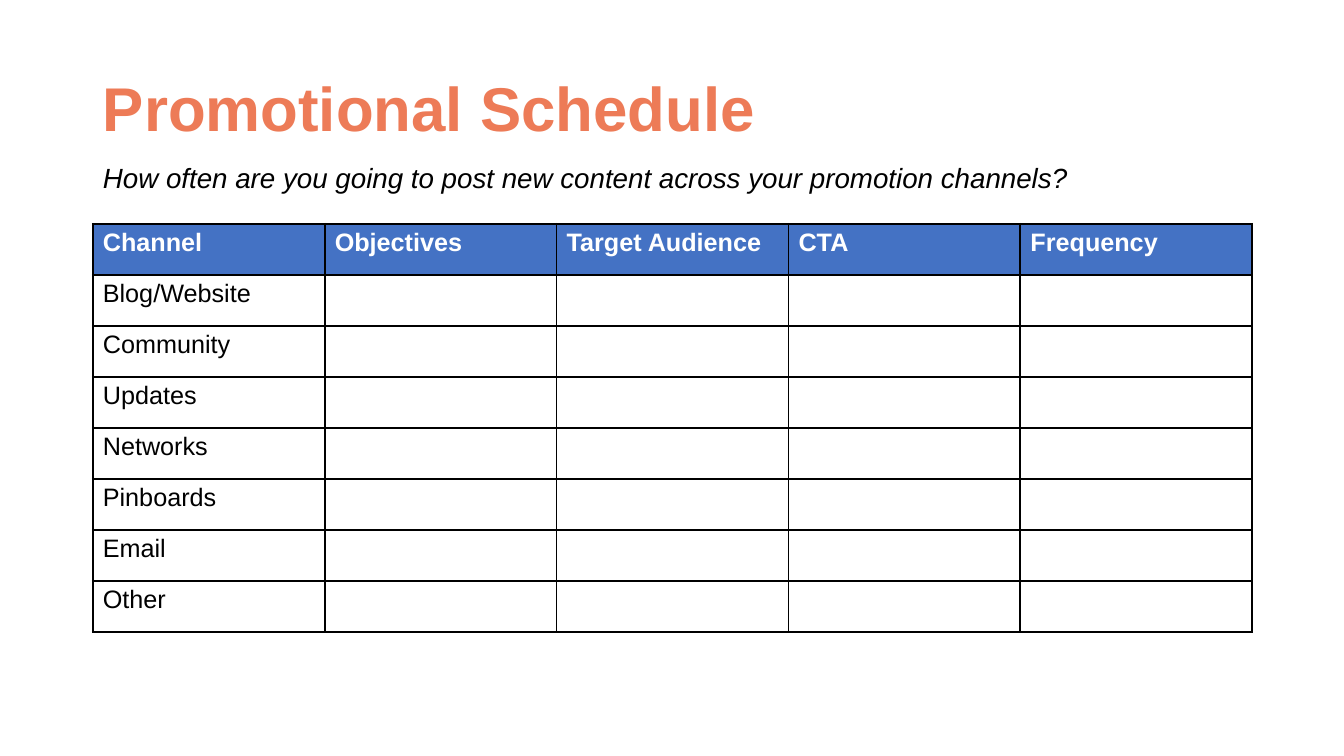
from dataclasses import dataclass

from lxml.etree import SubElement
from pptx import Presentation
from pptx.dml.color import RGBColor
from pptx.enum.text import MSO_ANCHOR, MSO_AUTO_SIZE, PP_ALIGN
from pptx.oxml.ns import qn
from pptx.util import Inches, Pt


@dataclass(frozen=True)
class Theme:
    font: str = "Arial"
    coral: RGBColor = RGBColor(0xED, 0x7B, 0x57)
    blue: RGBColor = RGBColor(0x44, 0x72, 0xC4)
    white: RGBColor = RGBColor(0xFF, 0xFF, 0xFF)
    black: RGBColor = RGBColor(0, 0, 0)
    title_size: Pt = Pt(44.1)
    subtitle_size: Pt = Pt(19.8)
    table_size: Pt = Pt(18)
    border_width: Pt = Pt(1.5)


theme = Theme()
headers = ["Channel", "Objectives", "Target Audience", "CTA", "Frequency"]
channels = ["Blog/Website", "Community", "Updates", "Networks", "Pinboards", "Email", "Other"]


def add_borders(cell):
    """Draw all four sides; borders come before the fill in the cell properties."""
    properties = cell._tc.get_or_add_tcPr()
    for side in ("a:lnL", "a:lnR", "a:lnT", "a:lnB"):
        line = SubElement(properties, qn(side), w=str(theme.border_width))
        fill = SubElement(line, qn("a:solidFill"))
        SubElement(fill, qn("a:srgbClr"), val=str(theme.black))


presentation = Presentation()
presentation.slide_width = Inches(13.33)
presentation.slide_height = Inches(7.5)
slide = presentation.slides.add_slide(presentation.slide_layouts[5])

# Title with its question on the second line
title = slide.shapes.title
title.left, title.top = Inches(0.92), Inches(0.4)
title.width, title.height = Inches(11.5), Inches(1.45)
title_frame = title.text_frame
title_frame.word_wrap = True
title_frame.auto_size = MSO_AUTO_SIZE.NONE
title_frame.vertical_anchor = MSO_ANCHOR.MIDDLE
paragraph = title_frame.paragraphs[0]
paragraph.alignment = PP_ALIGN.LEFT
paragraph.line_spacing = 1.5
paragraph.font.name = theme.font

heading = paragraph.add_run()
heading.text = "Promotional Schedule"
heading.font.size = theme.title_size
heading.font.bold = True
heading.font.color.rgb = theme.coral
paragraph.add_line_break()
question = paragraph.add_run()
question.text = "How often are you going to post new content across your promotion channels?"
question.font.size = theme.subtitle_size
question.font.italic = True
question.font.color.rgb = theme.black
for run in (heading, question):
    run.font.name = theme.font

# Schedule table: one row per channel, the rest left open to fill in
rows = [headers] + [[channel] + [""] * (len(headers) - 1) for channel in channels]
table = slide.shapes.add_table(
    len(rows), len(headers), Inches(0.92), Inches(2.22), Inches(11.5), Inches(4.05)
).table
for row_index, row in enumerate(rows):
    is_header = row_index == 0
    for column_index, text in enumerate(row):
        cell = table.cell(row_index, column_index)
        add_borders(cell)
        cell.fill.solid()
        cell.fill.fore_color.rgb = theme.blue if is_header else theme.white
        cell.text = text
        paragraph = cell.text_frame.paragraphs[0]
        paragraph.font.name = theme.font
        paragraph.font.size = theme.table_size
        paragraph.font.bold = is_header
        paragraph.font.color.rgb = theme.white if is_header else theme.black

presentation.save("out.pptx")
